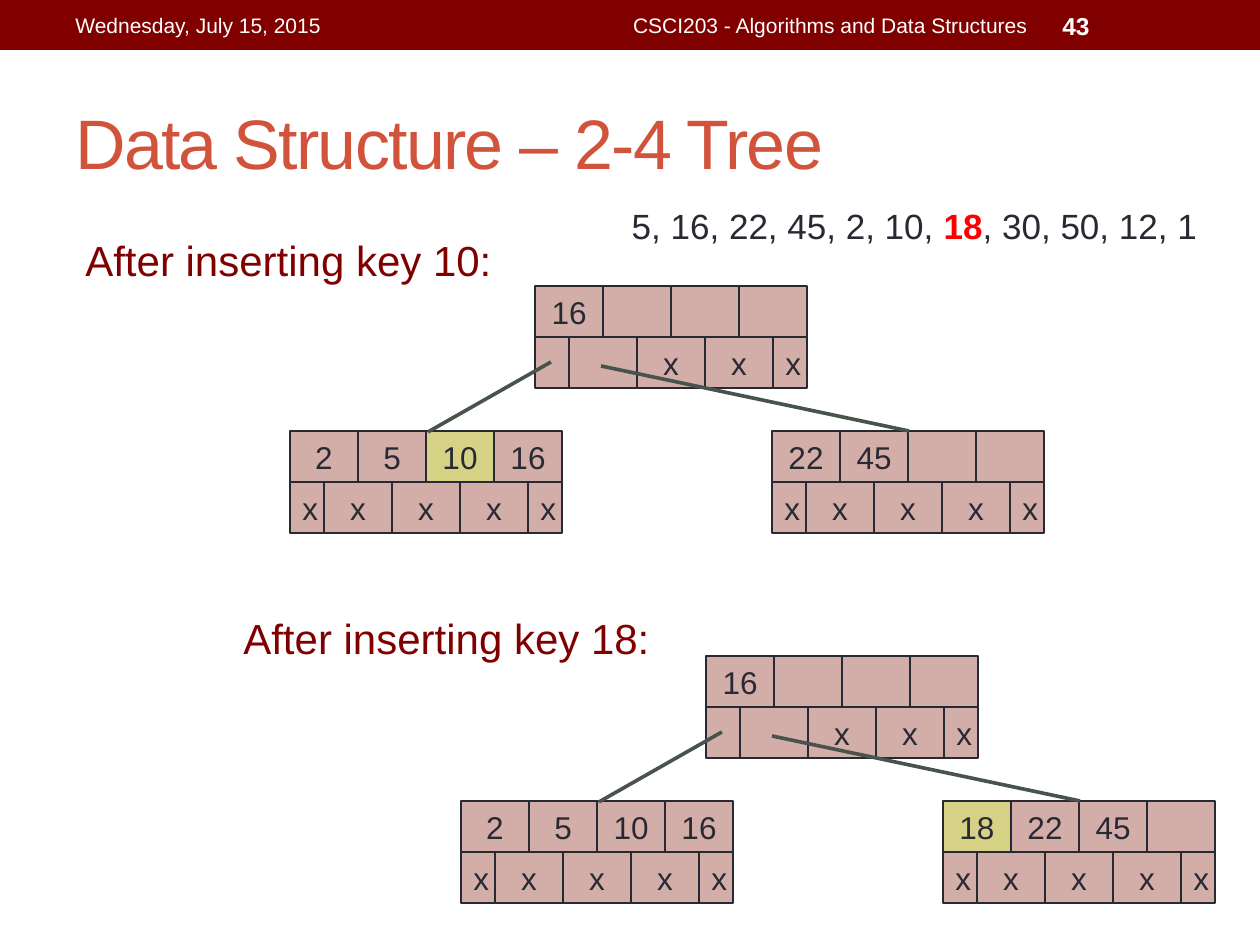
"""Build a slide showing a 2-4 tree before and after inserting key 18."""
import pptx
import pptx.util
import pptx.dml.color
import pptx.enum.shapes
import pptx.enum.text
from lxml import etree

PX = 914400 // 126
INK = {"bar": "800000", "title": "D2533C", "white": "FFFFFF", "cell": "D3AEA8",
       "new": "D5D286", "dark": "292934", "hot": "FF0000", "link": "47534C"}
ALIGN = pptx.enum.text.PP_ALIGN
ANCHOR = pptx.enum.text.MSO_ANCHOR
KIND = pptx.enum.shapes

LABELS = [
    ((63, 73, 1134, 136), "Data Structure – 2-4 Tree", 40, "title", False, "LEFT", "MIDDLE"),
    ((63, 3, 399, 45), "Wednesday, July 15, 2015", 12, "white", False, "LEFT", "MIDDLE"),
    ((473, 3, 567, 45), "CSCI203 - Algorithms and Data Structures", 12, "white", False, "RIGHT", "MIDDLE"),
    ((1050, 3, 147, 45), "43", 14, "white", True, "LEFT", "MIDDLE"),
    ((73, 228, 515, 63), "After inserting key 10:", 24, "bar", False, "LEFT", "TOP"),
    ((231, 606, 515, 63), "After inserting key 18:", 24, "bar", False, "LEFT", "TOP"),
]
ORDER = [("5, 16, 22, 45, 2, 10, ", "dark", False), ("18", "hot", True),
         (", 30, 50, 12, 1", "dark", False)]

TREES = [
    {"at": (535, 286), "new": "10", "root": ["16", "", "", ""],
     "left": ["2", "5", "10", "16"], "right": ["22", "45", "", ""]},
    {"at": (706, 656), "new": "18", "root": ["16", "", "", ""],
     "left": ["2", "5", "10", "16"], "right": ["18", "22", "45", ""]},
]
NODES = {"root": (0, 0, ["", "", "x", "x", "x"]),
         "left": (-245, 145, ["x"] * 5),
         "right": (237, 145, ["x"] * 5)}
LINKS = [(16, 76, -107, 146), (66, 80, 374, 145)]
WIDE, HALF, HIGH = 68, 34, 51


def color(name):
    return pptx.dml.color.RGBColor.from_string(INK[name])


def write(shape, runs, size, align="CENTER", anchor="MIDDLE"):
    frame = shape.text_frame
    frame.word_wrap = True
    frame.vertical_anchor = ANCHOR[anchor]
    para = frame.paragraphs[0]
    para.alignment = ALIGN[align]
    for text, ink, bold in runs:
        run = para.add_run()
        run.text = text
        run.font.name = "Arial"
        run.font.size = pptx.util.Pt(size)
        run.font.bold = bold
        run.font.color.rgb = color(ink)
    return para


def box(slide, place, fill, line=None):
    shape = slide.shapes.add_shape(KIND.MSO_SHAPE.RECTANGLE, *[n * PX for n in place])
    shape.shadow.inherit = False
    shape.fill.solid()
    shape.fill.fore_color.rgb = color(fill)
    if line:
        shape.line.color.rgb = color(line)
        shape.line.width = pptx.util.Pt(0.75)
    else:
        shape.line.fill.background()
    return shape


def row(slide, left, top, texts, widths, new=None):
    for text, width in zip(texts, widths):
        fill = "new" if text == new else "cell"
        cell = box(slide, (left, top, width, HIGH), fill, "dark")
        if text:
            write(cell, [(text, "dark", False)], 18)
        left += width


def link(slide, ends):
    line = slide.shapes.add_connector(KIND.MSO_CONNECTOR.STRAIGHT, *[n * PX for n in ends])
    line.line.color.rgb = color("link")
    line.line.width = pptx.util.Pt(2.08)
    props = line._element.spPr
    etree.SubElement(props, pptx.oxml.ns.qn("a:effectLst"))


def tree(slide, data):
    left, top = data["at"]
    for name, (dx, dy, marks) in NODES.items():
        x, y = left + dx, top + dy
        row(slide, x, y, data[name], [WIDE] * 4, data["new"])
        row(slide, x, y + HIGH, marks, [HALF] + [WIDE] * 3 + [HALF])
    for x1, y1, x2, y2 in LINKS:
        link(slide, (left + x1, top + y1, left + x2, top + y2))


def main():
    deck = pptx.Presentation()
    deck.slide_width, deck.slide_height = 1260 * PX, 945 * PX
    slide = deck.slides.add_slide(deck.slide_layouts[6])
    box(slide, (0, 0, 1260, 50), "bar")
    for place, text, size, ink, bold, align, anchor in LABELS:
        label = slide.shapes.add_textbox(*[n * PX for n in place])
        para = write(label, [(text, ink, bold)], size, align, anchor)
        if ink == "title":
            para.runs[0].font._element.set("spc", "-100")
    for data in TREES:
        tree(slide, data)
    write(box(slide, (601, 198, 627, 55), "white"), ORDER, 20)
    deck.save("out.pptx")


if __name__ == "__main__":
    main()
